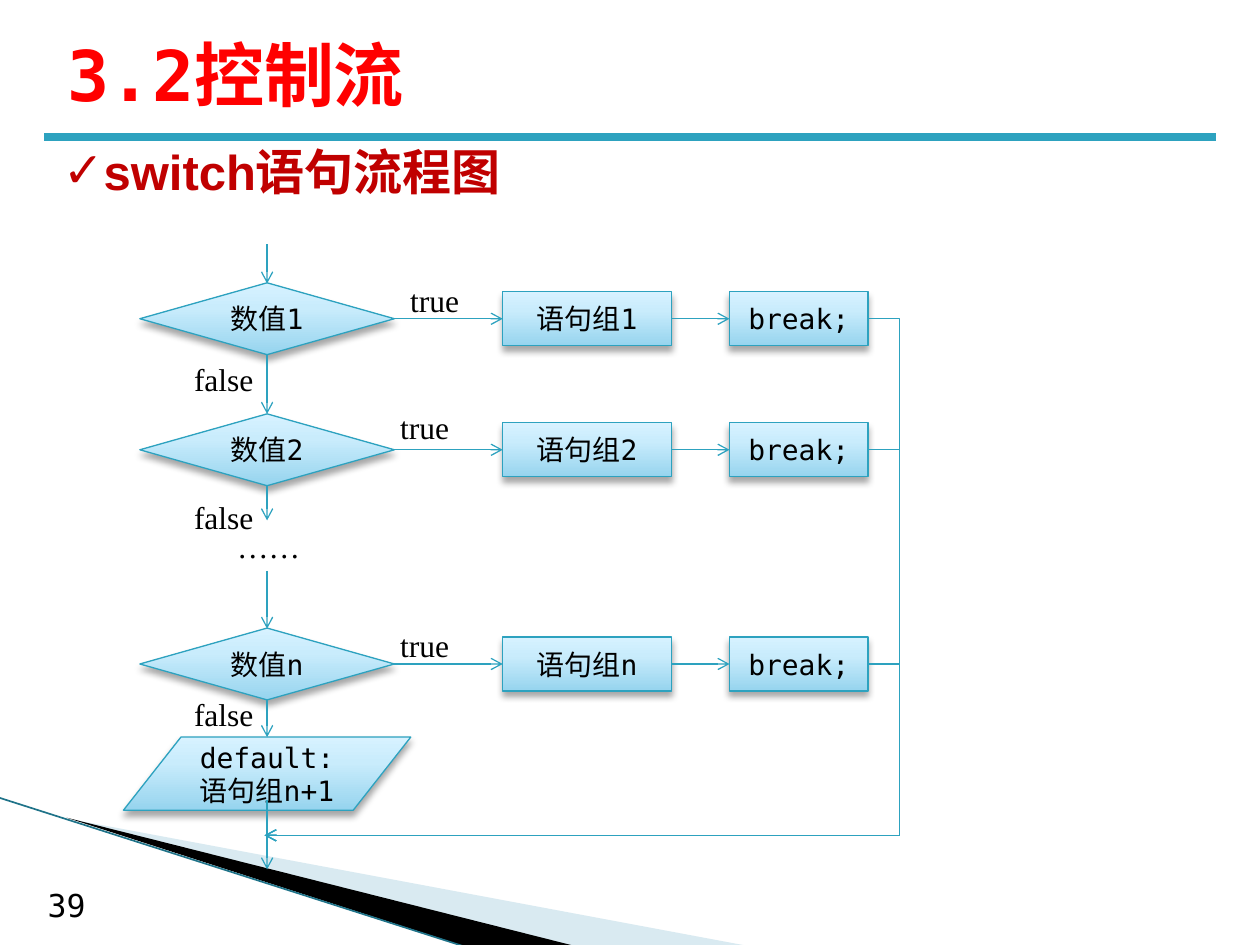
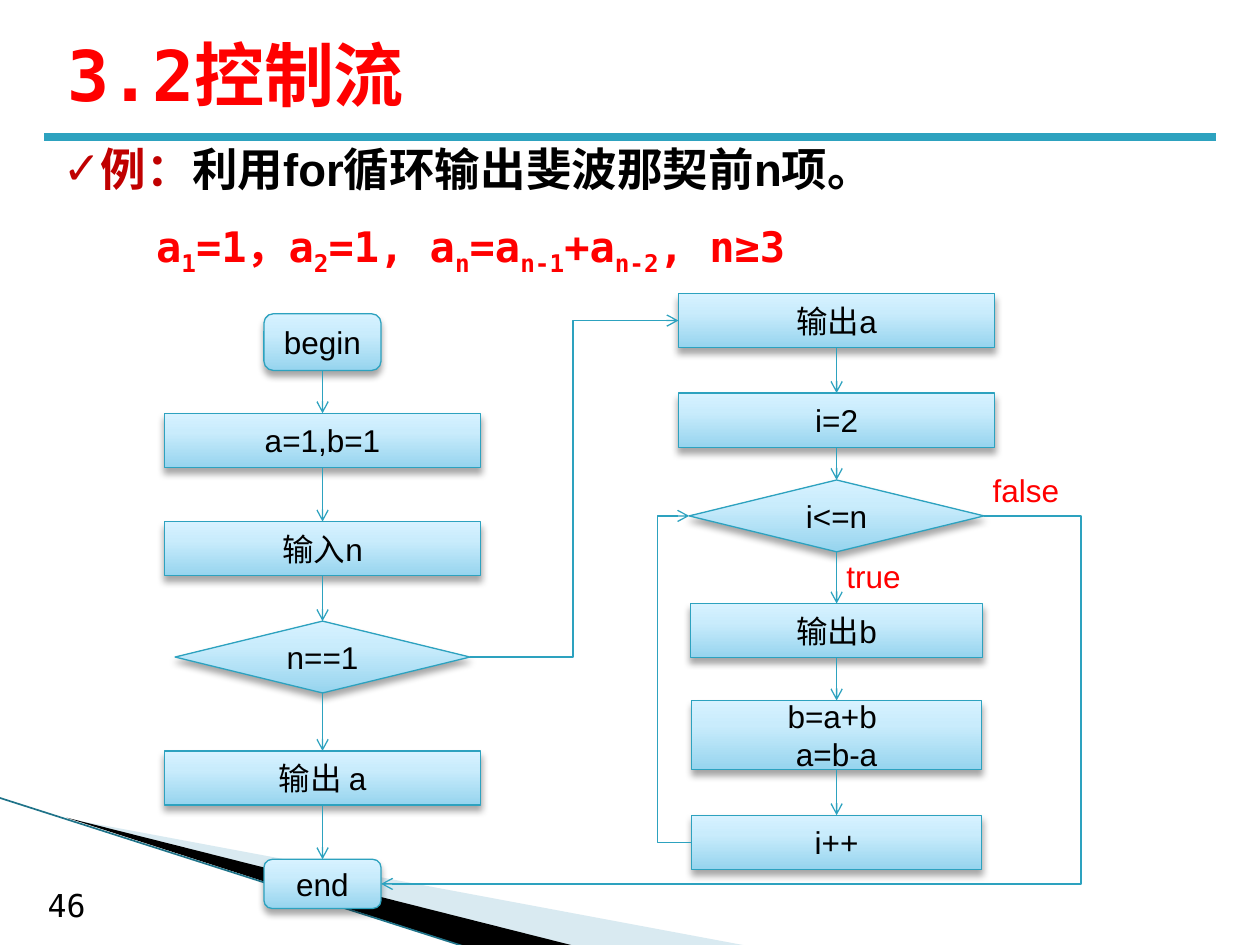
from dataclasses import dataclass
from typing import Any

from lxml.etree import SubElement
from pptx import Presentation
from pptx.dml.color import RGBColor
from pptx.enum.shapes import MSO_CONNECTOR as CONN, MSO_SHAPE as SHAPE
from pptx.enum.text import MSO_ANCHOR as ANCHOR, PP_ALIGN as ALIGN
from pptx.oxml import parse_xml
from pptx.oxml.ns import nsdecls, qn
from pptx.util import Inches, Pt

COLS, ROWS = 100, 75
WIDTH, HEIGHT = Inches(10), Inches(7.5)
MONO, SANS, SERIF = "DejaVu Sans Mono", "Arial", "Times New Roman"
LEFT, CENTER, RIGHT = ALIGN.LEFT, ALIGN.CENTER, ALIGN.RIGHT
TOP_SITE, BOTTOM_SITE, RIGHT_SITE, LEFT_SITE = 0, 2, 3, 1
DECISION, BOX, ROUND = SHAPE.FLOWCHART_DECISION, SHAPE.RECTANGLE, SHAPE.ROUNDED_RECTANGLE

C = {
    "text": "000000",
    "red": "FF0000",
    "heading": "C00000",
    "accent": "2DA2BF",
    "wedge": "A0CBDC",
    "edge": "1F7389",
    "shadow": "000000",
    "node_low": "96D4EE",
    "node_mid": "C9ECFC",
    "node_high": "D7F2FF",
}

GRADIENT = f"""<a:gradFill {nsdecls('a')} rotWithShape="1"><a:gsLst>
<a:gs pos="0"><a:srgbClr val="{C['node_low']}"/></a:gs>
<a:gs pos="65000"><a:srgbClr val="{C['node_mid']}"/></a:gs>
<a:gs pos="100000"><a:srgbClr val="{C['node_high']}"/></a:gs>
</a:gsLst><a:lin ang="16200000" scaled="0"/></a:gradFill>"""

SHADOW = f"""<a:effectLst {nsdecls('a')}>
<a:outerShdw blurRad="{Pt(4)}" dist="{Pt(3)}" dir="5400000" rotWithShape="0">
<a:srgbClr val="{C['shadow']}"><a:alpha val="35000"/></a:srgbClr>
</a:outerShdw></a:effectLst>"""


def rgb(name):
    return RGBColor.from_string(C[name])


def write(tf, paragraphs, size, font, color="text", bold=False, align=LEFT):
    for i, text in enumerate(paragraphs):
        p = tf.add_paragraph() if i else tf.paragraphs[0]
        p.text = text
        p.alignment = align
        for r in p.runs:
            style(r, size, font, color, bold)


def style(r, size, font, color, bold=False):
    r.font.size, r.font.name, r.font.bold = Pt(size), font, bold
    r.font.color.rgb = rgb(color)


def left_of(sp):
    return sp.left, sp.top + sp.height // 2


def right_of(sp):
    return sp.left + sp.width, sp.top + sp.height // 2


@dataclass
class Region:
    slide: Any
    left: float = 0
    top: float = 0

    def pt(self, col, row):
        return (int(WIDTH * (self.left + col) / COLS),
                int(HEIGHT * (self.top + row) / ROWS))

    def box(self, col, row, cols, rows):
        return *self.pt(col, row), int(WIDTH * cols / COLS), int(HEIGHT * rows / ROWS)

    def label(self, box, text, size, font, **look):
        tf = self.slide.shapes.add_textbox(*self.box(*box)).text_frame
        tf.word_wrap = True
        write(tf, [text], size, font, **look)
        return tf

    def node(self, kind, center, row, cols, rows, text, size, font):
        sp = self.slide.shapes.add_shape(
            kind, *self.box(center - cols / 2, row, cols, rows))
        sp.line.color.rgb = rgb("accent")
        sp.line.width = Pt(0.75)
        props = sp._element.spPr
        props.find(qn("a:ln")).addprevious(parse_xml(GRADIENT))
        props.append(parse_xml(SHADOW))
        tf = sp.text_frame
        tf.margin_left = tf.margin_right = 0
        tf.vertical_anchor = ANCHOR.MIDDLE
        write(tf, text.split("\n"), size, font, align=CENTER)
        return sp

    def line(self, start, end, kind=CONN.STRAIGHT, color="accent", width=0.75, arrow=True):
        cx = self.slide.shapes.add_connector(kind, *start, *end)
        cx.line.color.rgb = rgb(color)
        cx.line.width = Pt(width)
        if arrow:
            SubElement(cx.line._get_or_add_ln(), qn("a:tailEnd"), type="arrow")
        SubElement(cx._element.spPr, qn("a:effectLst"))
        return cx

    def join(self, a, a_site, b, b_site):
        cx = self.line((0, 0), (0, 0))
        cx.begin_connect(a, a_site)
        cx.end_connect(b, b_site)

    def elbow(self, start, end, bend_col):
        cx = self.line(start, end, CONN.ELBOW)
        bend = (self.pt(bend_col, 0)[0] - start[0]) / (end[0] - start[0])
        guides = cx._element.spPr.find(qn("a:prstGeom")).get_or_add_avLst()
        SubElement(guides, qn("a:gd"), name="adj1", fmla=f"val {round(bend * 100000)}")

    def wedge(self, points, color, alpha=100):
        start, *rest = [self.pt(*xy) for xy in points]
        builder = self.slide.shapes.build_freeform(*start)
        builder.add_line_segments(rest, close=True)
        sp = builder.convert_to_shape()
        sp.shadow.inherit = False
        sp.fill.solid()
        sp.fill.fore_color.rgb = rgb(color)
        sp.line.fill.background()
        clr = sp._element.spPr.find(".//" + qn("a:srgbClr"))
        SubElement(clr, qn("a:alpha"), val=str(alpha * 1000))


def draw_frame(page, number):
    page.wedge([(5.5, 65), (59.5, 75.1), (45.6, 75.1)], "wedge", 40)
    page.wedge([(5.3, 64.9), (45.7, 75.1), (37.2, 75.2)], "text")
    page.line(page.pt(-0.1, 63.3), page.pt(37.1, 75.2), color="edge", width=0.95, arrow=False)
    page.line(page.pt(3.5, 10.9), page.pt(96.5, 10.9), width=4.5, arrow=False)
    page.label((2.8, 69.8, 5.5, 4), number, 18, MONO)
    tf = page.label((4.4, 1.6, 90, 8.5), "3.2控制流", 40, MONO, color="red", bold=True)
    tf.vertical_anchor = ANCHOR.MIDDLE


def draw_heading(page, parts, size):
    tf = page.label((4, 10.7, 92.9, 5.5), "", size, SANS)
    p = tf.paragraphs[0]
    for text, color in parts:
        r = p.add_run()
        r.text = text
        style(r, size, SANS, color, True)
    props = p._p.get_or_add_pPr()
    props.set("marL", "0")
    props.set("indent", "0")
    SubElement(props, qn("a:buFont"), typeface=SANS)
    SubElement(props, qn("a:buChar"), char="✓")


def draw_formula(page):
    tf = page.label((11.4, 17, 81.1, 5), "", 24, MONO)
    p = tf.paragraphs[0]
    for text, sub in [("a", "1"), ("=1，a", "2"), ("=1, a", "n"), ("=a", "n-1"),
                      ("+a", "n-2"), (", n≥3", "")]:
        for part, baseline in ((text, "0"), (sub, "-25000")):
            if part:
                r = p.add_run()
                r.text = part
                style(r, 24, MONO, "red", True)
                r.font._element.set("baseline", baseline)


def draw_switch_flow(area):
    axis = 11.4
    cases = [("1", 5.9, (20, 2.4), 8.7),
             ("2", 16.3, (19.2, 12.5), 19.6),
             ("n", 33.3, (19.2, 29.8), 35.3)]
    tests, breaks = [], []
    for name, mid, true_at, false_row in cases:
        test = area.node(DECISION, axis, mid - 2.85, 20.2, 5.7, f"数值{name}", 16, MONO)
        group = area.node(BOX, 36.8, mid - 2.15, 13.4, 4.3, f"语句组{name}", 16, MONO)
        leave = area.node(BOX, 53.6, mid - 2.15, 11, 4.3, "break;", 16, MONO)
        area.join(test, RIGHT_SITE, group, LEFT_SITE)
        area.join(group, RIGHT_SITE, leave, LEFT_SITE)
        area.label((*true_at, 9.4, 4), "true", 18, SERIF, align=CENTER)
        area.label((1.9, false_row, 9.4, 4), "false", 18, SERIF, align=RIGHT)
        tests.append(test)
        breaks.append(leave)
    area.join(tests[0], BOTTOM_SITE, tests[1], TOP_SITE)
    area.label((5.6, 21.9, 9.4, 4), "……", 18, SERIF, align=RIGHT)
    area.node(SHAPE.FLOWCHART_DATA, axis, 39.1, 22.8, 5.8, "default:\n语句组n+1", 16, MONO)
    for start, end in [(0, 3.1), (19.2, 21.9), (25.9, 30.5), (36.1, 39.1), (44.1, 49.6)]:
        area.line(area.pt(axis, start), area.pt(axis, end))
    for leave in breaks:
        area.elbow(right_of(leave), area.pt(axis - 0.2, 46.9), 61.6)


def draw_chain(area, axis, steps):
    nodes = [area.node(kind, axis, row, cols, rows, text, 18, SANS)
             for kind, row, cols, rows, text in steps]
    for a, b in zip(nodes, nodes[1:]):
        area.join(a, BOTTOM_SITE, b, TOP_SITE)
    return nodes


def draw_fibonacci_flow(area):
    _, _, _, first_test, _, end = draw_chain(area, 12.6, [
        (ROUND, 1.6, 9.3, 4.5, "begin"),
        (BOX, 9.5, 25.1, 4.3, "a=1,b=1"),
        (BOX, 18.1, 25.1, 4.3, "输入n"),
        (DECISION, 26, 23.4, 5.7, "n==1"),
        (BOX, 36.3, 25.1, 4.3, "输出 a"),
        (ROUND, 44.9, 9.3, 3.9, "end"),
    ])
    output, _, loop_test, _, _, step = draw_chain(area, 53.4, [
        (BOX, 0, 25.1, 4.3, "输出a"),
        (BOX, 7.9, 25.1, 4.3, "i=2"),
        (DECISION, 14.8, 23.4, 5.7, "i<=n"),
        (BOX, 24.6, 23.2, 4.3, "输出b"),
        (BOX, 32.3, 23, 5.5, "b=a+b \na=b-a"),
        (BOX, 41.4, 23, 4.3, "i++"),
    ])
    area.elbow(right_of(first_test), left_of(output), 32.5)
    area.elbow(left_of(step), left_of(loop_test), 39.2)
    area.elbow(right_of(loop_test), right_of(end), 72.8)
    area.label((53.2, 20.4, 9.4, 4), "true", 18, SANS, color="red")
    area.label((64.8, 13.6, 8.2, 4), "false", 18, SANS, color="red")


def new_page(prs, number):
    page = Region(prs.slides.add_slide(prs.slide_layouts[6]))
    draw_frame(page, number)
    return page


def main():
    prs = Presentation()
    prs.slide_width, prs.slide_height = WIDTH, HEIGHT

    page = new_page(prs, "39")
    draw_switch_flow(Region(page.slide, 9.8, 19.4))
    draw_heading(page, [("switch语句流程图", "heading")], 28)

    page = new_page(prs, "46")
    draw_heading(page, [("例：", "heading"), ("利用for循环输出斐波那契前n项。", "text")], 26)
    draw_formula(page)
    draw_fibonacci_flow(Region(page.slide, 13, 23.3))

    prs.save("out.pptx")


if __name__ == "__main__":
    main()
